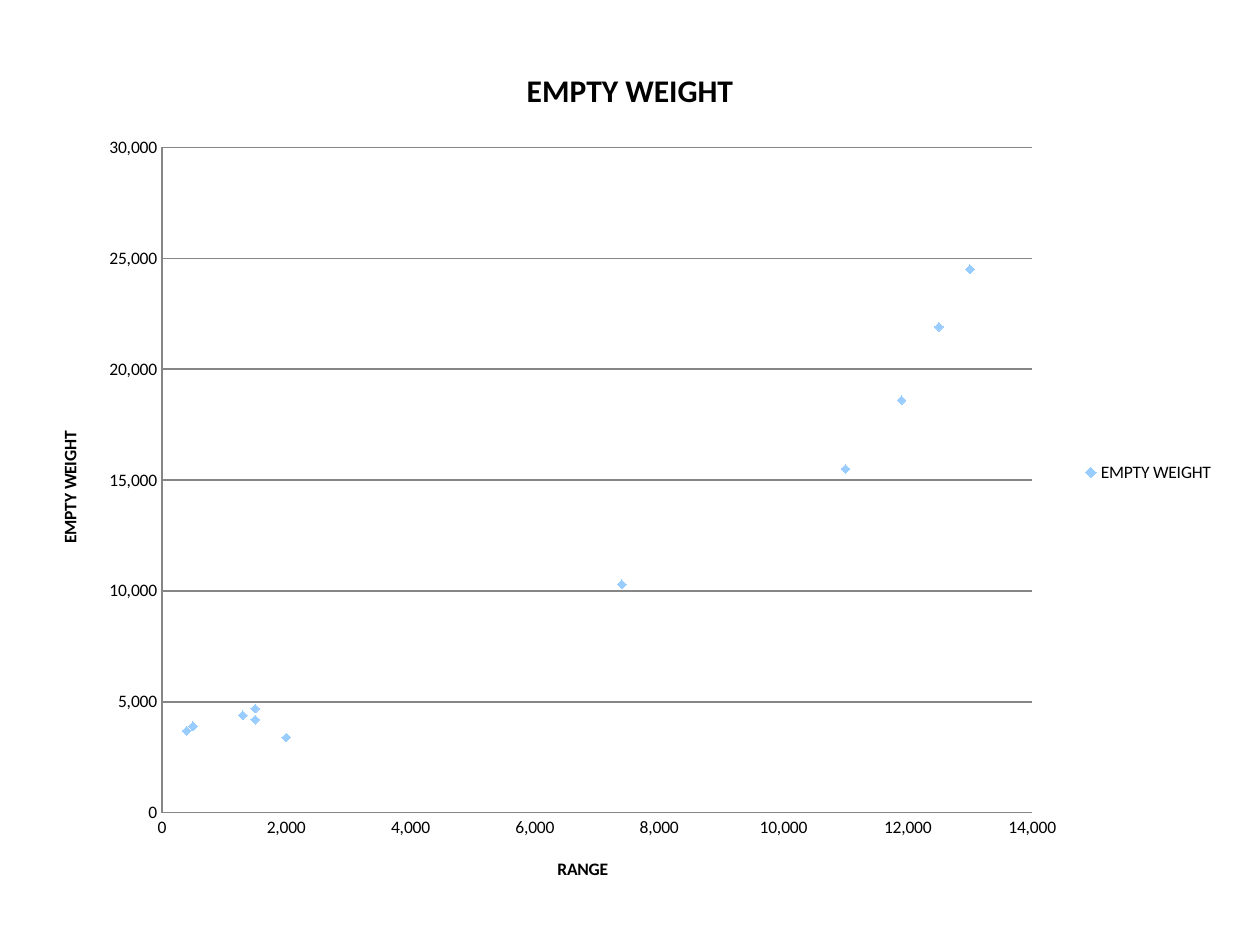
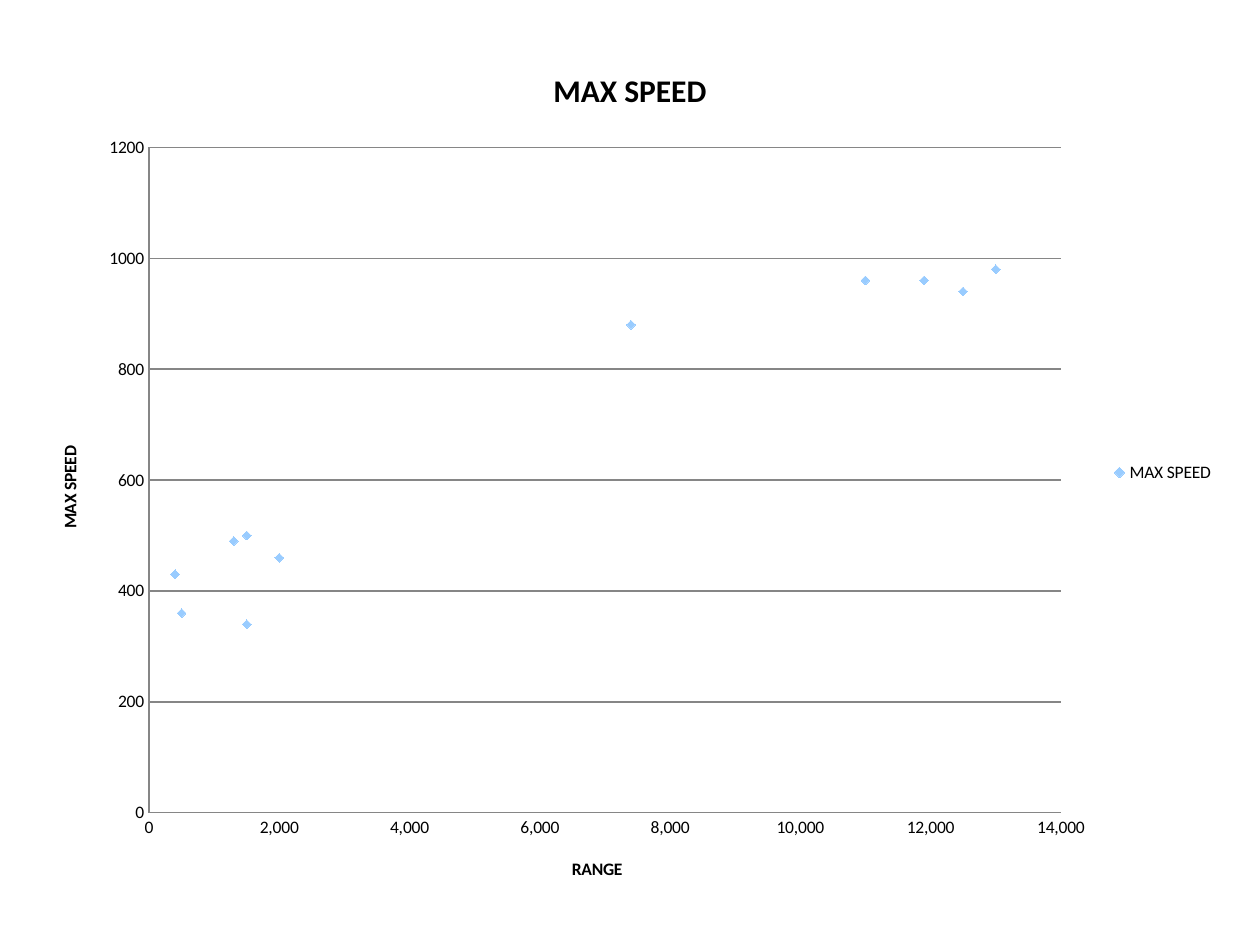
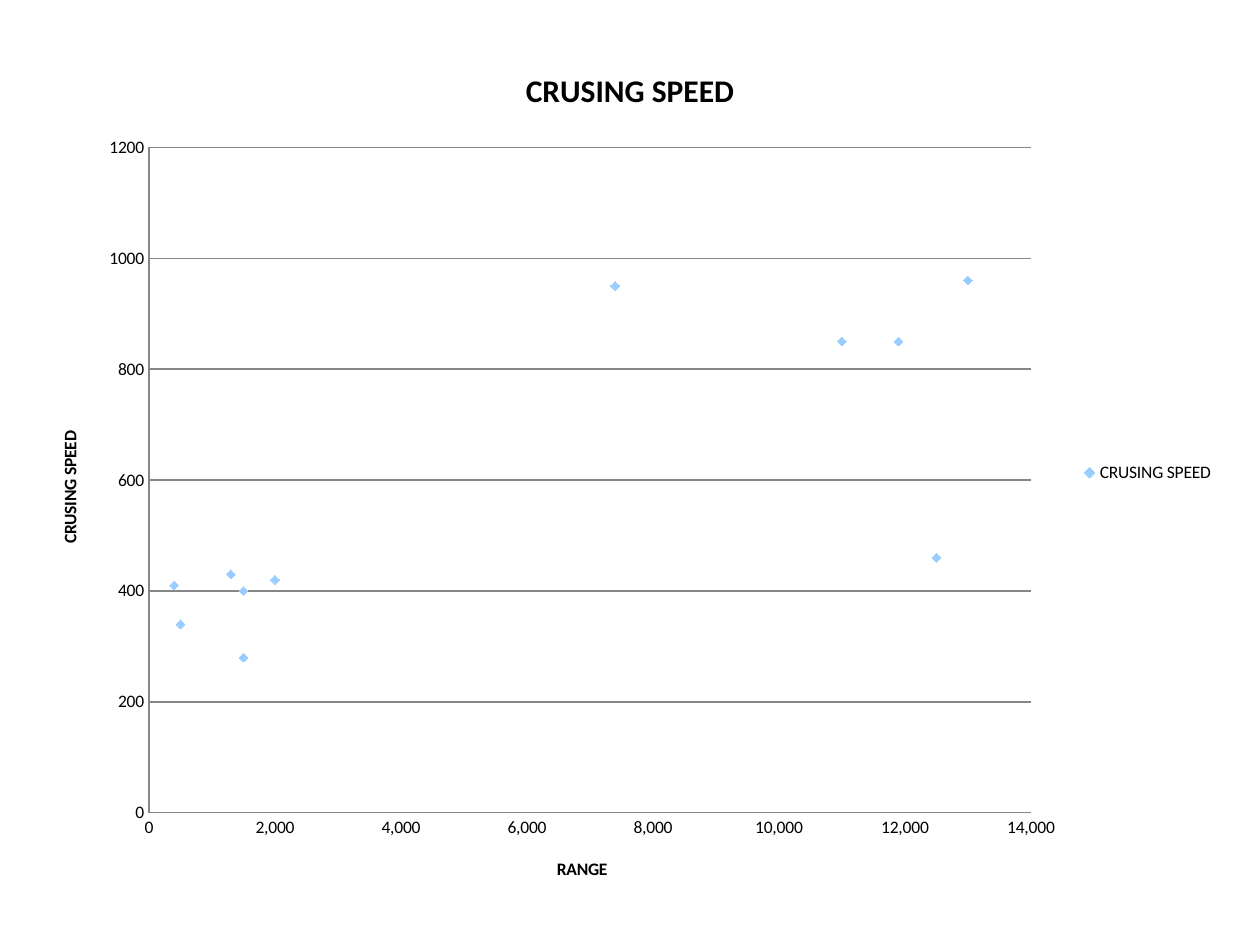
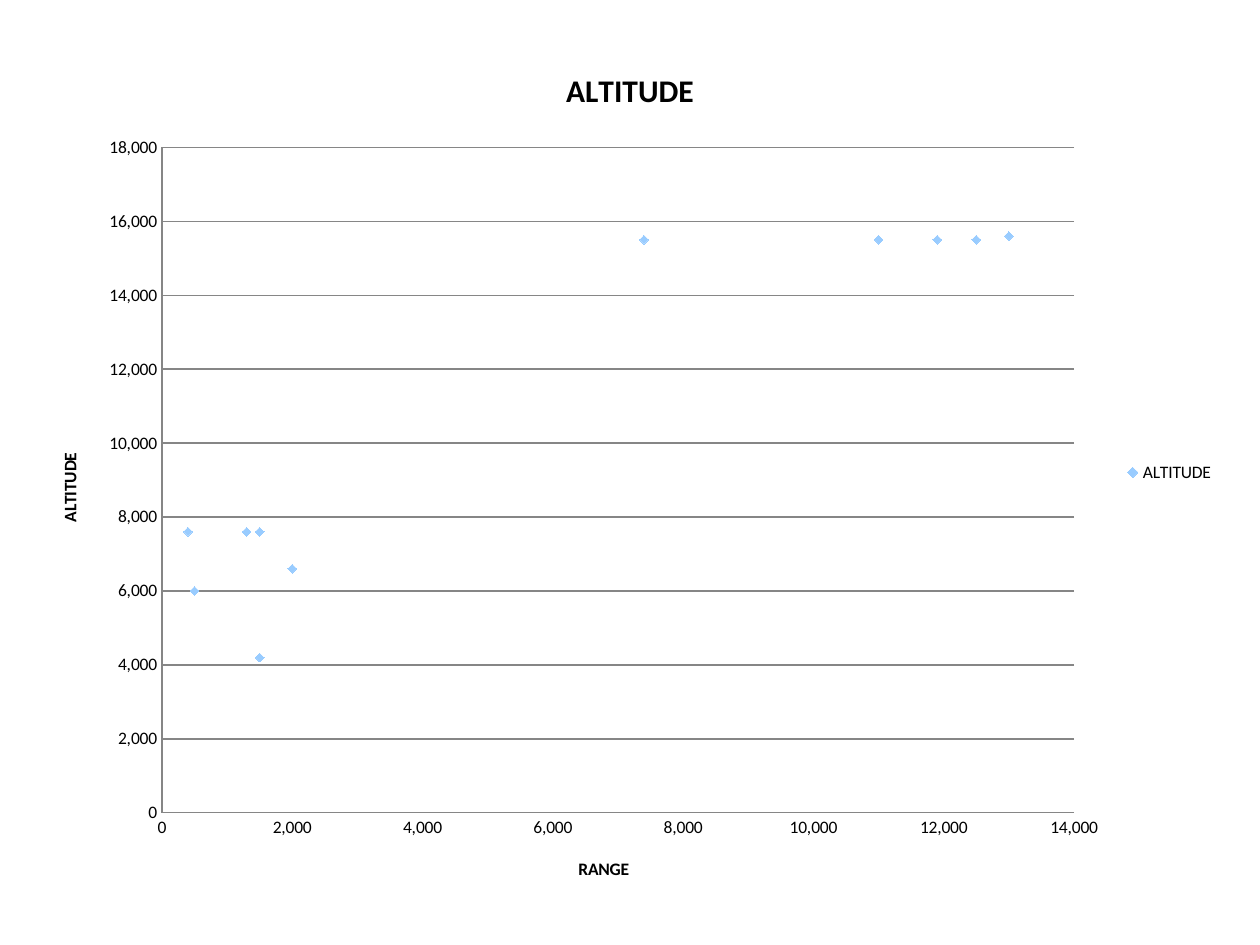
"""Build four scatter charts of aircraft figures against range."""
from pptx import Presentation
from pptx.chart.data import XyChartData
from pptx.dml.color import RGBColor
from pptx.enum.chart import XL_CHART_TYPE, XL_LEGEND_POSITION, XL_MARKER_STYLE, XL_TICK_MARK
from pptx.util import Emu, Pt

RANGES = [1500, None, 1500, 12500, 13000, 11000, 11900, 7400, 500, 400, 2000, 1300]
RANGE_AXIS = ("RANGE", 14000, 2000, "#,##0")
CHARTS = [
    (("EMPTY WEIGHT", 30000, 5000, "#,##0"),
     [4700, None, 4200, 21900, 24500, 15500, 18600, 10300, 3900, 3700, 3400, 4400]),
    (("MAX SPEED", 1200, 200, "General"),
     [500, None, 340, 940, 980, 960, 960, 880, 360, 430, 460, 490]),
    (("CRUSING SPEED", 1200, 200, "General"),
     [280, None, 400, 460, 960, 850, 850, 950, 340, 410, 420, 430]),
    (("ALTITUDE", 18000, 2000, "#,##0"),
     [7600, None, 4200, 15500, 15600, 15500, 15500, 15500, 6000, 7600, 6600, 7600]),
]
COLORS = {"text": "000000", "line": "868686", "marker": "99CCFF", "background": "FFFFFF"}
FONT = "Calibri"
PIXEL = 914400 / 126
SLIDE_SIZE = (1260, 945)
CHART_BOX = (33, 39, 1194, 867)


def pixels(*lengths):
    return [Emu(round(length * PIXEL)) for length in lengths]


def color(name):
    return RGBColor.from_string(COLORS[name])


def style_font(font, size, bold=False):
    font.name = FONT
    font.size = Pt(size)
    font.bold = bold
    font.color.rgb = color("text")


def style_line(line):
    line.color.rgb = color("line")
    line.width = Pt(0.75)


def write_title(owner, text, size):
    frame = owner.text_frame
    frame.text = text
    style_font(frame.paragraphs[0].font, size, bold=True)


def style_axis(axis, title, maximum, step, number_format, gridlines):
    write_title(axis.axis_title, title, 10)
    axis.minimum_scale = 0
    axis.maximum_scale = maximum
    axis.major_unit = step
    axis.major_tick_mark = axis.minor_tick_mark = XL_TICK_MARK.NONE
    axis.has_major_gridlines = gridlines
    if gridlines:
        style_line(axis.major_gridlines.format.line)
    axis.tick_labels.number_format = number_format
    axis.tick_labels.number_format_is_linked = False
    style_line(axis.format.line)


def style_series(series):
    series.smooth = False
    series.format.line.fill.background()
    marker = series.marker
    marker.style = XL_MARKER_STYLE.DIAMOND
    marker.size = 5
    marker.format.fill.solid()
    marker.format.fill.fore_color.rgb = color("marker")
    marker.format.line.color.rgb = color("marker")


def drop_empty_points(chart):
    for point in chart._chartSpace.xpath(".//c:pt[c:v='None' or c:v='']"):
        point.getparent().remove(point)


def add_scatter(slide, value_axis, values):
    name = value_axis[0]
    data = XyChartData()
    points = data.add_series(name)
    for distance, value in zip(RANGES, values):
        points.add_data_point(distance, value)
    chart = slide.shapes.add_chart(XL_CHART_TYPE.XY_SCATTER, *pixels(*CHART_BOX), data).chart
    drop_empty_points(chart)
    style_font(chart.font, 10)
    chart.has_title = True
    write_title(chart.chart_title, name, 18)
    chart.has_legend = True
    chart.legend.position = XL_LEGEND_POSITION.RIGHT
    chart.legend.include_in_layout = False
    chart.plots[0].vary_by_categories = False
    style_axis(chart.category_axis, *RANGE_AXIS, gridlines=False)
    style_axis(chart.value_axis, *value_axis, gridlines=True)
    style_series(chart.plots[0].series[0])


presentation = Presentation()
presentation.slide_width, presentation.slide_height = pixels(*SLIDE_SIZE)
background = presentation.slide_master.background.fill
background.solid()
background.fore_color.rgb = color("background")
for value_axis, values in CHARTS:
    slide = presentation.slides.add_slide(presentation.slide_layouts[6])
    add_scatter(slide, value_axis, values)
presentation.save("out.pptx")
